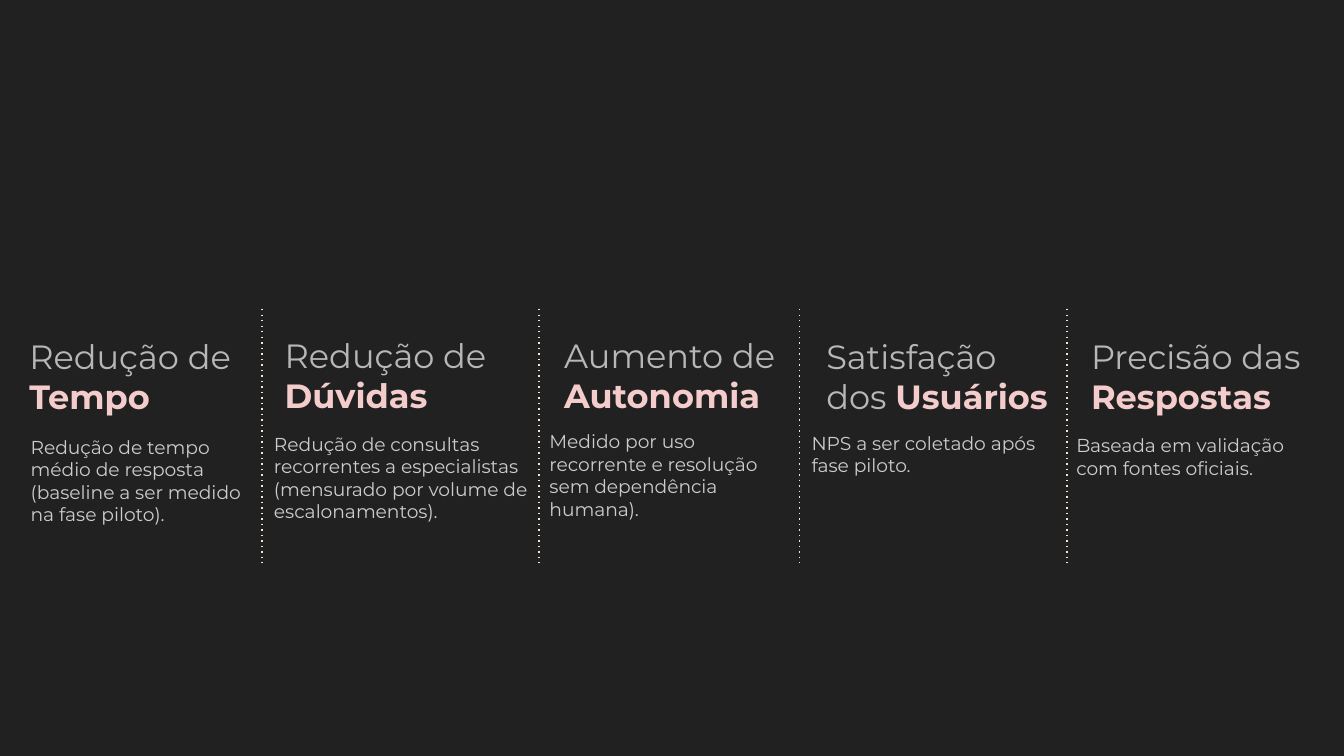
"""Build a slide of five success metrics in columns parted by dotted lines."""
from dataclasses import dataclass

import lxml.etree
import pptx
import pptx.dml.color
import pptx.enum.shapes
import pptx.enum.text
import pptx.oxml.ns
import pptx.slide
import pptx.text.text
import pptx.util

Inches = pptx.util.Inches
COLORS = {
    "background": "212121",
    "heading": "B7B7B7",
    "accent": "F4CCCC",
    "body": "CCCCCC",
    "divider": "FCE5CD",
}
FONT = "Montserrat"
DIVIDERS = (1.95, 4.01, 5.95, 7.94)
DIVIDER_TOP, DIVIDER_BOTTOM = 2.3, 4.19


@dataclass(frozen=True)
class Box:
    left: float
    top: float
    width: float
    height: float


@dataclass(frozen=True)
class Metric:
    heading_box: Box
    lead: str
    accent: str
    body_box: Box
    body: str
    accent_below: bool = False


METRICS = (
    Metric(Box(0.12, 2.4, 1.97, 0.81), "Redução de ", "Tempo",
           Box(0.13, 3.14, 1.81, 0.88),
           "Redução de tempo médio de resposta (baseline a ser medido na fase piloto)."),
    Metric(Box(2.02, 2.39, 2.54, 0.81), "Redução de ", "Dúvidas",
           Box(1.94, 3.12, 2.09, 0.88),
           "Redução de consultas recorrentes a especialistas "
           "(mensurado por volume de escalonamentos)."),
    Metric(Box(4.1, 2.39, 1.86, 0.81), "Aumento de", "Autonomia",
           Box(3.99, 3.1, 1.97, 0.88),
           "Medido por uso recorrente e resolução sem dependência humana).",
           accent_below=True),
    Metric(Box(6.05, 2.4, 1.86, 0.81), "Satisfação dos ", "Usuários",
           Box(5.94, 3.11, 1.97, 0.54),
           "NPS a ser coletado após fase piloto."),
    Metric(Box(8.02, 2.4, 1.86, 0.81), "Precisão das ", "Respostas",
           Box(7.91, 3.13, 1.97, 0.54),
           "Baseada em validação com fontes oficiais."),
)


def rgb(name: str) -> pptx.dml.color.RGBColor:
    """Return the named colour."""
    return pptx.dml.color.RGBColor.from_string(COLORS[name])


def add_text_frame(s: pptx.slide.Slide, box: Box) -> pptx.text.text.TextFrame:
    """Add a wrapping text box with even insets and return its frame."""
    sp = s.shapes.add_textbox(Inches(box.left), Inches(box.top),
                              Inches(box.width), Inches(box.height))
    tf = sp.text_frame
    tf.word_wrap = True
    tf.auto_size = pptx.enum.text.MSO_AUTO_SIZE.SHAPE_TO_FIT_TEXT
    tf.margin_left = tf.margin_top = tf.margin_right = tf.margin_bottom = Inches(0.1)
    return tf


def add_run(p: pptx.text.text._Paragraph, text: str, color: str, bold: bool) -> None:
    """Add a coloured run to a paragraph."""
    r = p.add_run()
    r.text = text
    r.font.color.rgb = rgb(color)
    r.font.bold = bold


def add_metric(s: pptx.slide.Slide, metric: Metric) -> None:
    """Add the heading and the body of one metric."""
    tf = add_text_frame(s, metric.heading_box)
    p = tf.paragraphs[0]
    add_run(p, metric.lead, "heading", False)
    if metric.accent_below:
        p = tf.add_paragraph()
    add_run(p, metric.accent, "accent", True)
    for p in tf.paragraphs:
        p.font.name = FONT
        p.font.size = pptx.util.Pt(18)

    p = add_text_frame(s, metric.body_box).paragraphs[0]
    p.text = metric.body
    p.font.name = FONT
    p.font.size = pptx.util.Pt(10)
    p.font.color.rgb = rgb("body")


def add_divider(s: pptx.slide.Slide, x: float) -> None:
    """Add a dotted vertical line."""
    line = s.shapes.add_connector(pptx.enum.shapes.MSO_CONNECTOR.STRAIGHT,
                                  Inches(x), Inches(DIVIDER_TOP),
                                  Inches(x), Inches(DIVIDER_BOTTOM))
    line.line.color.rgb = rgb("divider")
    line.line.width = pptx.util.Pt(0.75)
    qn = pptx.oxml.ns.qn
    properties = line._element.spPr
    lxml.etree.SubElement(properties.find(qn("a:ln")), qn("a:prstDash"), val="dot")
    lxml.etree.SubElement(properties, qn("a:effectLst"))


def main() -> None:
    """Build and save the slide."""
    prs = pptx.Presentation()
    prs.slide_width, prs.slide_height = Inches(10), Inches(10 * 9 / 16)
    s = prs.slides.add_slide(prs.slide_layouts[6])
    s.background.fill.solid()
    s.background.fill.fore_color.rgb = rgb("background")
    for metric in METRICS:
        add_metric(s, metric)
    for x in DIVIDERS:
        add_divider(s, x)
    prs.save("out.pptx")


if __name__ == "__main__":
    main()
